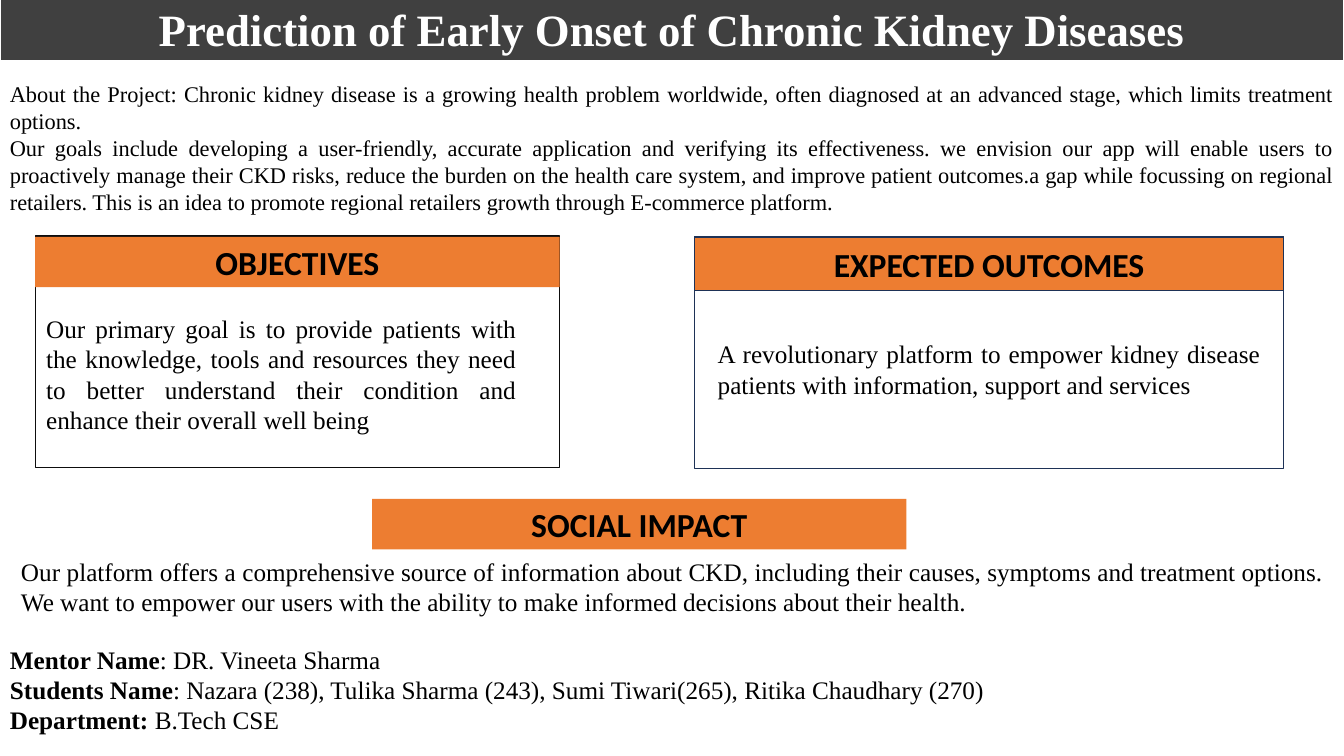
from dataclasses import dataclass

from pptx import Presentation
from pptx.dml.color import RGBColor
from pptx.enum.shapes import MSO_SHAPE as Preset
from pptx.enum.text import MSO_ANCHOR as Anchor, PP_ALIGN as Align
from pptx.shapes.autoshape import Shape
from pptx.slide import Slide
from pptx.util import Inches, Pt

COLORS = {
    "white": "FFFFFF",
    "black": "000000",
    "title": "404040",
    "banner": "ED7D31",
    "objectives": "0D0D0D",
    "outcomes": "1E3256",
}
SERIF, SANS = "Times New Roman", "Calibri"


@dataclass(frozen=True)
class Font:
    """Look of a text."""
    size: int
    name: str = SERIF
    color: str = "black"
    bold: bool = False


@dataclass(frozen=True)
class Panel:
    """A rectangle, with or without a fill, an outline and a heading."""
    left: float
    top: float
    width: float
    height: float
    fill: str | None = None
    line: str | None = None
    text: str = ""
    font: Font = Font(24, SANS, bold=True)
    anchor: Anchor = Anchor.TOP
    line_width: float = 1
    line_spacing: float = 1.0


@dataclass(frozen=True)
class Passage:
    """A justified text block; each paragraph is a bold label and its text."""
    left: float
    top: float
    width: float
    height: float
    paragraphs: tuple[tuple[str, str], ...]
    size: int = 18


ABOUT = (
    ("", "About the Project: Chronic kidney disease is a growing health problem "
         "worldwide, often diagnosed at an advanced stage, which limits treatment options."),
    ("", "Our goals include developing a user-friendly, accurate application and "
         "verifying its effectiveness. we envision our app will enable users to "
         "proactively manage their CKD risks, reduce the burden on the health care "
         "system, and improve patient outcomes.a gap while focussing on regional "
         "retailers. This is an idea to promote regional retailers growth through "
         "E-commerce platform."),
)
IMPACT = (
    ("", "Our platform offers a comprehensive source of information about CKD, "
         "including their causes, symptoms and treatment options. We want to empower "
         "our users with the ability to make informed decisions about their health."),
)
OBJECTIVES = (
    ("", "Our primary goal is to provide patients with the knowledge, tools and "
         "resources they need to better understand their condition and enhance "
         "their overall well being"),
)
OUTCOMES = (
    ("", "A revolutionary platform to empower kidney disease patients with "
         "information, support and services"),
)
TEAM = (
    ("Mentor Name", ": DR. Vineeta Sharma"),
    ("Students Name", ": Nazara (238), Tulika Sharma (243), Sumi Tiwari(265), "
                      "Ritika Chaudhary (270)"),
    ("Department: ", "B.Tech CSE"),
)

TITLE = Panel(0, -0.1, 13.33, 0.71, "title", "white",
              "Prediction of Early Onset of Chronic Kidney Diseases",
              Font(32, color="white", bold=True), Anchor.BOTTOM, 1.5, 0.9)
PASSAGES = (
    Passage(0, 0.75, 13.33, 1.45, ABOUT, 16),
    Passage(0.11, 5.47, 13.12, 0.71, IMPACT),
    Passage(0.36, 3.06, 4.86, 1.31, OBJECTIVES),
    Passage(7.02, 3.31, 5.58, 0.71, OUTCOMES),
    Passage(0, 6.34, 13.33, 1.01, TEAM),
)
PANELS = (
    Panel(0.35, 2.34, 5.2, 2.3, line="objectives"),
    Panel(6.89, 2.35, 5.84, 2.3, line="outcomes"),
    Panel(6.89, 2.35, 5.84, 0.53, "banner", "outcomes", "EXPECTED OUTCOMES",
          anchor=Anchor.MIDDLE),
    Panel(0.35, 2.35, 5.2, 0.5, "banner", text="OBJECTIVES"),
    Panel(3.69, 4.95, 5.3, 0.5, "banner", text="SOCIAL IMPACT"),
)


def rgb(name: str) -> RGBColor:
    """Look up a palette colour."""
    return RGBColor.from_string(COLORS[name])


def format_run(run, font: Font) -> None:
    """Apply a font to one run."""
    run.font.size = Pt(font.size)
    run.font.name = font.name
    run.font.bold = font.bold
    run.font.color.rgb = rgb(font.color)


def paint(shape: Shape, panel: Panel) -> None:
    """Set the fill, outline and shadow of a panel's shape."""
    shape.shadow.inherit = False
    if panel.fill:
        shape.fill.solid()
        shape.fill.fore_color.rgb = rgb(panel.fill)
    else:
        shape.fill.background()
    if panel.line:
        shape.line.color.rgb = rgb(panel.line)
        shape.line.width = Pt(panel.line_width)
    else:
        shape.line.fill.background()


def draw_panel(slide: Slide, panel: Panel) -> None:
    """Draw a rectangle with its centred heading."""
    shape = slide.shapes.add_shape(
        Preset.RECTANGLE, Inches(panel.left), Inches(panel.top),
        Inches(panel.width), Inches(panel.height))
    paint(shape, panel)
    if panel.text:
        frame = shape.text_frame
        frame.text = panel.text
        frame.word_wrap = True
        frame.vertical_anchor = panel.anchor
        paragraph = frame.paragraphs[0]
        paragraph.alignment = Align.CENTER
        paragraph.line_spacing = panel.line_spacing
        format_run(paragraph.runs[0], panel.font)


def draw_passage(slide: Slide, passage: Passage) -> None:
    """Draw a justified text box with optional bold labels."""
    frame = slide.shapes.add_textbox(
        Inches(passage.left), Inches(passage.top),
        Inches(passage.width), Inches(passage.height)).text_frame
    frame.word_wrap = True
    for index, (label, text) in enumerate(passage.paragraphs):
        paragraph = frame.add_paragraph() if index else frame.paragraphs[0]
        paragraph.alignment = Align.JUSTIFY
        for content, bold in ((label, True), (text, False)):
            if content:
                run = paragraph.add_run()
                run.text = content
                format_run(run, Font(passage.size, bold=bold))


def main() -> None:
    """Build and save the slide."""
    presentation = Presentation()
    presentation.slide_width = Inches(13.33)
    presentation.slide_height = Inches(7.5)
    slide = presentation.slides.add_slide(presentation.slide_layouts[6])
    draw_panel(slide, TITLE)
    for passage in PASSAGES:
        draw_passage(slide, passage)
    for panel in PANELS:
        draw_panel(slide, panel)
    presentation.save("out.pptx")


main()
